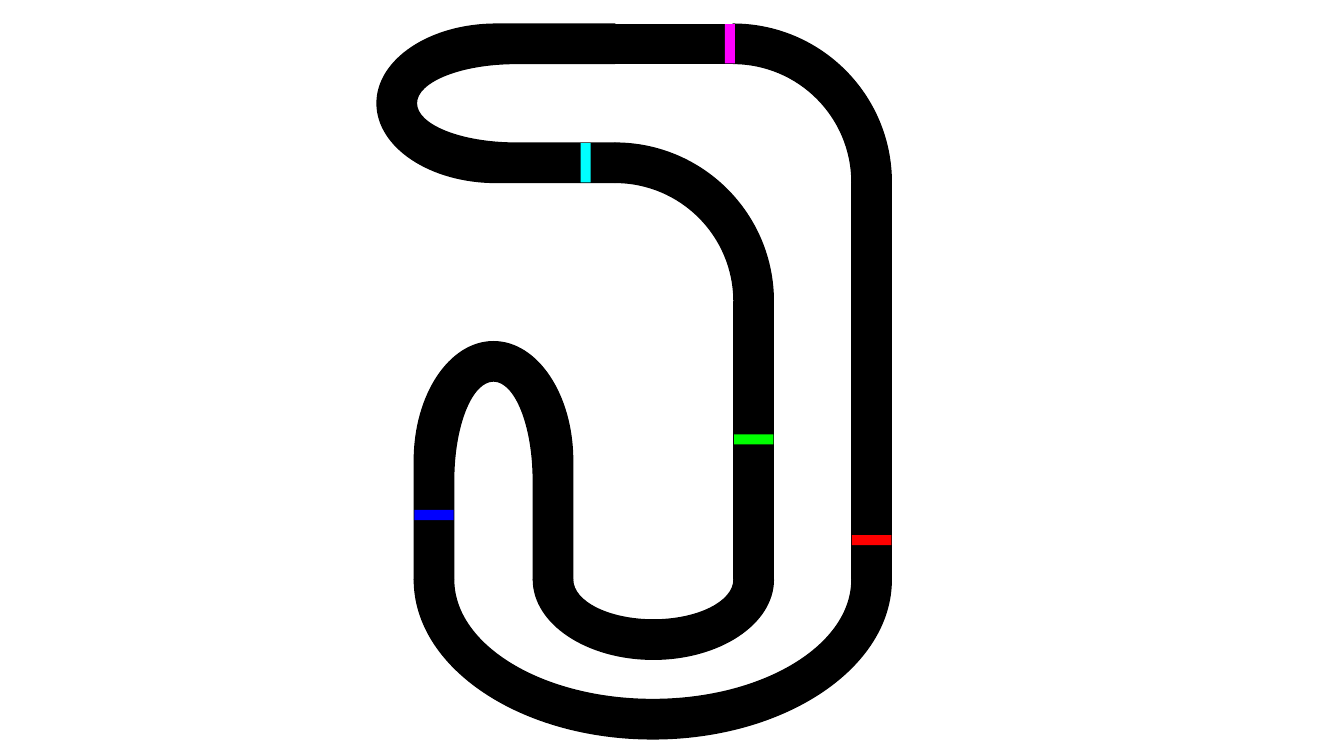
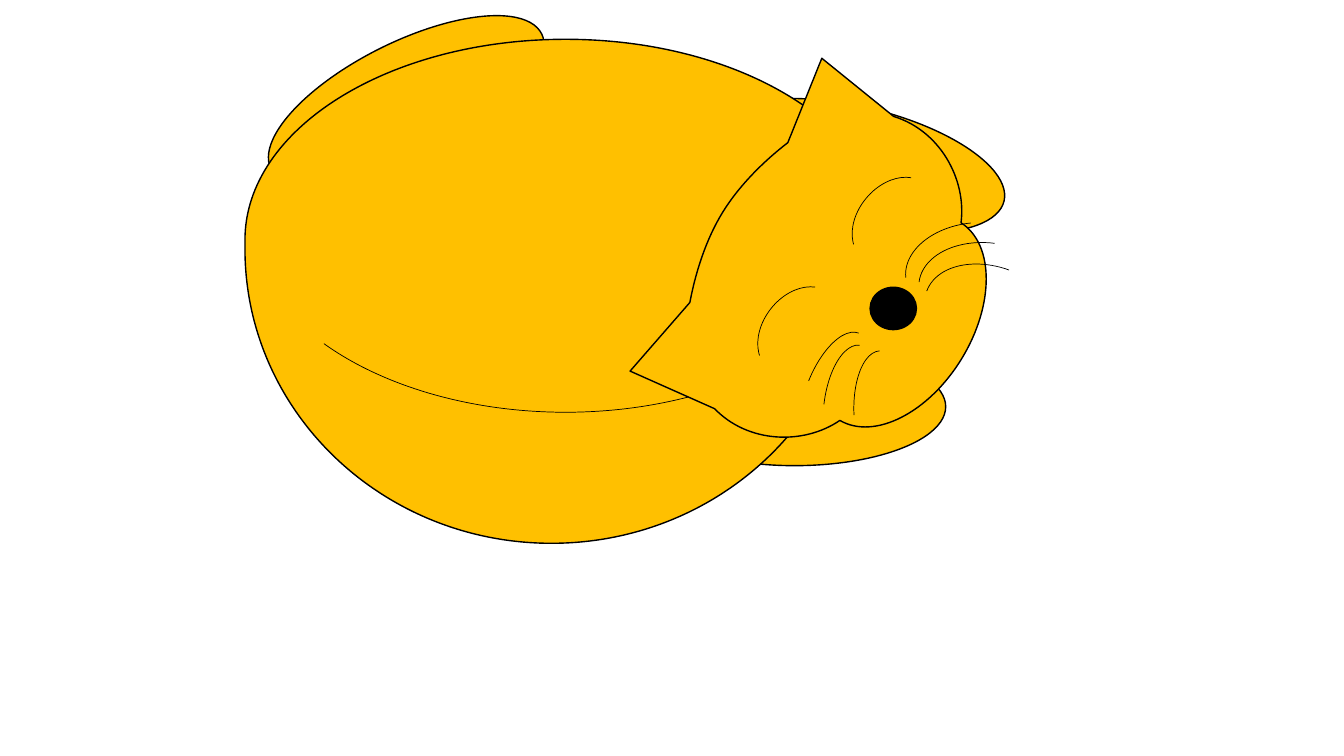
from math import cos, radians, sin
from pptx import Presentation
from pptx.dml.color import RGBColor
from pptx.enum.shapes import MSO_SHAPE
from pptx.oxml.ns import qn
from pptx.util import Inches, Pt

COLORS = {"black": "000000", "blue": "0000FF", "green": "00FF00", "red": "FF0000",
          "magenta": "FF00FF", "cyan": "00FFFF", "fur": "FFC000"}
ROUND = 0.5523  # control distance of a quarter ellipse, as a share of its radius

deck = Presentation()
deck.slide_width, deck.slide_height = Inches(13.33), Inches(7.5)
track, cat = [deck.slides.add_slide(deck.slide_layouts[6]).shapes.add_group_shape()
              for _ in range(2)]


def paint(shape, fill=None, line="black", weight=1, turn=0):
    shape.shadow.inherit = False
    shape.rotation = turn
    if fill:
        shape.fill.solid()
        shape.fill.fore_color.rgb = RGBColor.from_string(COLORS[fill])
    else:
        shape.fill.background()
    if line:
        shape.line.color.rgb = RGBColor.from_string(COLORS[line])
        shape.line.width = Pt(weight)
    else:
        shape.line.fill.background()


def outline(group, start, steps, fill):
    """Steps: (x, y) line, (x, y, "h" or "v") quarter ellipse, six numbers for a free curve."""
    points, counts, (x, y) = [], [], start
    for step in steps:
        if len(step) == 3:
            end_x, end_y, leaving = step
            reach_x, reach_y = (end_x - x) * ROUND, (end_y - y) * ROUND
            if leaving == "h":
                step = (x + reach_x, y, end_x, end_y - reach_y, end_x, end_y)
            else:
                step = (x, y + reach_y, end_x - reach_x, end_y, end_x, end_y)
        points += zip(step[::2], step[1::2])
        counts.append(len(step) // 2)
        x, y = step[-2:]
    builder = group.shapes.build_freeform(Inches(start[0]), Inches(start[1]))
    builder.add_line_segments([(Inches(a), Inches(b)) for a, b in points], close=True)
    shape = builder.convert_to_shape()
    segments = iter(list(shape.element.iter(qn("a:lnTo"))))
    for count in counts:
        first, *rest = [next(segments) for _ in range(count)]
        if rest:
            first.tag = qn("a:cubicBezTo")
        for segment in rest:
            first.append(segment[0])
            segment.getparent().remove(segment)
    paint(shape, fill)


# Race track: lanes between named edges
LANE, STRIPE, RADIUS = 0.39, 0.1, 1.57
NORTH, SOUTH = 0.24, 5.75
WEST, EAST = 4.11, 8.84
INNER_WEST, INNER_EAST, INNER_NORTH = 5.29, 7.67, 1.42
EAST_LANE, INNER_EAST_LANE = EAST - LANE, INNER_EAST - LANE
HAIRPIN_LENGTH, HAIRPIN_BEND = 2.36, 1.18
NOSE_LEFT, NOSE_TOP = 3.74, SOUTH - HAIRPIN_LENGTH

# Both hairpins share one profile, across and along the lane; the second has its axes swapped
middle, far_lane, inner_bend = RADIUS / 2, RADIUS - LANE, HAIRPIN_BEND + 0.2
hairpin = [(RADIUS, HAIRPIN_BEND, "h"), (RADIUS, HAIRPIN_LENGTH), (far_lane, HAIRPIN_LENGTH),
           (far_lane, inner_bend), (middle, LANE, "v"), (LANE, inner_bend, "h"),
           (LANE, HAIRPIN_LENGTH), (0, HAIRPIN_LENGTH), (0, HAIRPIN_BEND), (middle, 0, "v")]
outline(track, (WEST + middle, NOSE_TOP),
        [(WEST + across, NOSE_TOP + along, *leaving) for across, along, *leaving in hairpin],
        "black")
swapped = {"h": "v", "v": "h"}
outline(track, (NOSE_LEFT, NORTH + middle),
        [(NOSE_LEFT + along, NORTH + across, *[swapped[axis] for axis in leaving])
         for across, along, *leaving in hairpin], "black")

for left, right, depth in [(WEST, EAST, 1.58), (INNER_WEST, INNER_EAST, 0.79)]:
    center, bottom = (left + right) / 2, SOUTH + depth
    outline(track, (left, SOUTH), [
        (left + LANE, SOUTH), (center, bottom - LANE, "v"), (right - LANE, SOUTH, "h"),
        (right, SOUTH), (center, bottom, "v"), (left, SOUTH, "h")], "black")

for right, top in [(EAST, NORTH), (INNER_EAST, INNER_NORTH)]:
    left, bottom = right - RADIUS, top + RADIUS
    outline(track, (left, top), [
        (right, bottom, "h"), (right - LANE, bottom), (left, top + LANE, "v")], "black")
    straight = track.shapes.add_shape(MSO_SHAPE.RECTANGLE, *map(Inches, (
        right - LANE, bottom, LANE, SOUTH - bottom)))
    paint(straight, "black")

hairpin_end = NOSE_LEFT + HAIRPIN_LENGTH
top_straight = track.shapes.add_shape(MSO_SHAPE.RECTANGLE, *map(Inches, (
    hairpin_end, NORTH, EAST - RADIUS - hairpin_end, LANE)))
paint(top_straight, "black")

across_lane, along_lane = (LANE, STRIPE), (STRIPE, LANE)
for color, left, top, size in [
        ("blue", WEST, 5.06, across_lane), ("green", INNER_EAST_LANE, 4.31, across_lane),
        ("red", EAST_LANE, 5.31, across_lane), ("magenta", 7.19, NORTH, along_lane),
        ("cyan", 5.76, INNER_NORTH, along_lane)]:
    stripe = track.shapes.add_shape(MSO_SHAPE.RECTANGLE, *map(Inches, (left, top, *size)))
    paint(stripe, color, line=None)

# Cat: paws, then body and tail
for left, top, turn in [(2.53, 0.42, 333.5), (6.38, 3.45, 0), (7, 1.06, 13.5)]:
    paw = cat.shapes.add_shape(MSO_SHAPE.OVAL, *map(Inches, (left, top, 3, 1.17)))
    paint(paw, "fur", turn=turn)

BACK, BACK_TOP, BACK_WIDTH, BACK_BASE = 2.43, 0.39, 6.36, 2.38
BELLY_WIDTH, BELLY_TOP, BELLY_BASE = 6.08, 2.47, 5.39
outline(cat, (BACK, BACK_BASE), [
    (BACK + BACK_WIDTH / 2, BACK_TOP, "v"), (BACK + BACK_WIDTH, BACK_BASE, "h"),
    (BACK + BELLY_WIDTH, BELLY_TOP), (BACK + BELLY_WIDTH / 2, BELLY_BASE, "v"),
    (BACK, BELLY_TOP, "h")], "fur")

tail = cat.shapes.add_shape(MSO_SHAPE.ARC, *map(Inches, (BACK, 0.12, BACK_WIDTH, 3.97)))
tail.adjustments[0], tail.adjustments[1] = 215.746, 90.858
paint(tail, weight=0.5)

# Head: half a profile from brow to chin, mirrored about a tilted axis
HEAD_X, HEAD_Y, TILT = 7.2, 2.13, radians(31.5)
brow = (-0.04, 0)
forehead = [(-0.04, 0.31), (0.04, 0.64), (0.15, 0.93)]
ear_tip, ear_base = [(0, 1.82)], [(0.91, 1.7)]
cheek = [(1.37, 1.82), (1.85, 1.55), (2.03, 1.15)]
muzzle = [(2.43, 1.14), (2.74, 0.62), (2.74, 0)]
half = [forehead, ear_tip, ear_base, cheek, muzzle]

mirrored = []
starts = [brow] + [part[-1] for part in half[:-1]]
for start, part in zip(reversed(starts), reversed(half)):
    backwards = part[-2::-1] + [start]
    mirrored.append([(along, -across) for along, across in backwards])

head = []
for part in [[brow]] + half + mirrored:
    step = []
    for along, across in part:
        step += [HEAD_X + along * cos(TILT) + across * sin(TILT),
                 HEAD_Y + along * sin(TILT) - across * cos(TILT)]
    head.append(step)
outline(cat, head[0], head[1:], "fur")

# Face
nose = cat.shapes.add_shape(MSO_SHAPE.OVAL, *map(Inches, (8.63, 2.85, 0.46, 0.42)))
paint(nose, "black")

eyes = [(7.44, 2.93, 308), (8.38, 1.84, 309.7)]
lower_whiskers = [(7.66, 3.6, 291.8), (7.83, 3.76, 276.6), (8.13, 3.82, 267.2)]
upper_whiskers = [(9.37, 2.43, 290), (9.33, 2.19, 277.2), (9.2, 1.99, 264.3)]
for places, size, angles in [(eyes, (0.96, 0.7), (119.757, 205.691)),
                             (lower_whiskers, (1.25, 0.57), ()),
                             (upper_whiskers, (0.95, 1.39), ())]:
    for left, top, turn in places:
        stroke = cat.shapes.add_shape(MSO_SHAPE.ARC, *map(Inches, (left, top, *size)))
        for index, angle in enumerate(angles):
            stroke.adjustments[index] = angle
        paint(stroke, weight=0.5, turn=turn)

deck.save("out.pptx")
